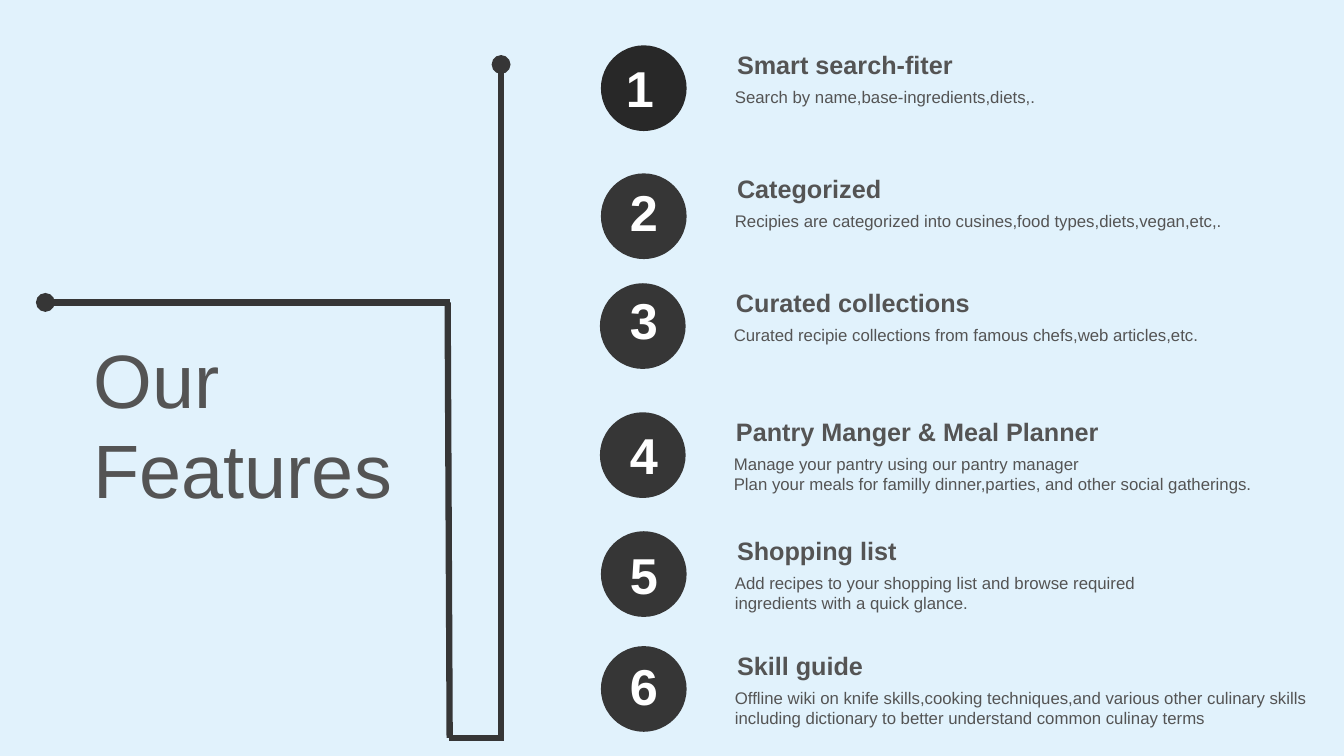
"""Build the "Our Features" slide: a title framed by a line and six numbered features."""
from lxml import etree
from pptx import Presentation
from pptx.dml.color import RGBColor
from pptx.enum.shapes import MSO_CONNECTOR as CONNECTOR, MSO_SHAPE as SHAPE
from pptx.enum.text import MSO_ANCHOR as ANCHOR, PP_ALIGN as ALIGN
from pptx.oxml.ns import qn
from pptx.util import Inches, Pt

COLORS = {
    "background": "E1F2FC",
    "text": "545454",
    "dark": "363636",
    "first": "282828",
    "number": "FFFFFF",
}

FEATURES = [
    (0.45, 0.44, 0.52, 5.82, 7.19, 4.93, "Smart search-fiter",
     ["Search by name,base-ingredients,diets,."]),
    (1.72, 1.67, 1.75, 5.86, 7.19, 5.83, "Categorized",
     ["Recipies are categorized into cusines,food types,diets,vegan,etc,."]),
    (2.81, 2.8, 2.82, 5.86, 7.18, 4.93, "Curated collections",
     ["Curated recipie collections from famous chefs,web articles,etc."]),
    (4.09, 4.08, 4.16, 5.86, 7.18, 6.04, "Pantry Manger & Meal Planner",
     ["Manage your pantry using our pantry manager",
      "Plan your meals for familly dinner,parties, and other social gatherings."]),
    (5.27, 5.26, 5.35, 5.86, 7.19, 4.93, "Shopping list",
     ["Add recipes to your shopping list and browse required ingredients with a quick glance."]),
    (6.41, 6.4, 6.45, 5.86, 7.19, 5.9, "Skill guide",
     ["Offline wiki on knife skills,cooking techniques,and various other culinary skills "
      "including dictionary to better understand common culinay terms"]),
]

FRAME_LINES = [
    ((0.45, 3), (4.46, 3), "headEnd"),
    ((4.46, 7.32), (4.44, 3), None),
    ((4.97, 7.35), (4.97, 0.64), "tailEnd"),
    ((4.45, 7.32), (5, 7.32), None),
]


class FeatureSlide:
    """Hold the style and the slide being drawn."""

    font_name = "Arial"

    def __init__(self, deck):
        """Add a blank slide with the background colour."""
        self.page = deck.slides.add_slide(deck.slide_layouts[6])
        fill = self.page.background.fill
        fill.solid()
        fill.fore_color.rgb = self.color("background")

    def color(self, name):
        """Return a named colour."""
        return RGBColor.from_string(COLORS[name])

    def text(self, place, lines, size, color="text", bold=False,
             align=ALIGN.LEFT, anchor=ANCHOR.TOP, inset=0.1):
        """Add a wrapped text box with one paragraph per line."""
        box = self.page.shapes.add_textbox(*map(Inches, place))
        frame = box.text_frame
        frame.word_wrap = True
        frame.vertical_anchor = anchor
        frame.margin_left = frame.margin_right = Inches(inset)
        frame.text = "\n".join(lines)
        for para in frame.paragraphs:
            para.alignment = align
            font = para.font
            font.name, font.size, font.bold = self.font_name, Pt(size), bold
            font.color.rgb = self.color(color)

    def line(self, start, end, oval_end=None):
        """Add a thick line, with a dot at one end if asked."""
        connector = self.page.shapes.add_connector(
            CONNECTOR.STRAIGHT, *map(Inches, start + end))
        connector.line.width = Pt(4.5)
        connector.line.color.rgb = self.color("dark")
        properties = connector._element.spPr
        if oval_end:
            outline = properties.find(qn("a:ln"))
            etree.SubElement(outline, qn(f"a:{oval_end}"), type="oval")
        etree.SubElement(properties, qn("a:effectLst"))

    def circle(self, left, top, color):
        """Add a filled disc without an outline."""
        disc = self.page.shapes.add_shape(
            SHAPE.OVAL, *map(Inches, (left, top, 0.85, 0.85)))
        disc.shadow.inherit = False
        disc.fill.solid()
        disc.fill.fore_color.rgb = self.color(color)
        disc.line.fill.background()

    def feature(self, number, circle_top, heading_top, number_top,
                number_left, left, width, heading, details):
        """Add a numbered disc with its heading and details."""
        self.text((left, heading_top + 0.37, width, 0.3), details, 12)
        self.text((left, heading_top, 4.93, 0.4), [heading], 18,
                  bold=True, inset=0.12)
        self.circle(left - 1.23, circle_top, "first" if number == 1 else "dark")
        self.text((number_left, number_top, 1.05, 0.71), [str(number)], 36,
                  color="number", bold=True, align=ALIGN.CENTER, inset=0.12)


def main():
    """Draw the slide and save it."""
    deck = Presentation()
    deck.slide_width, deck.slide_height = Inches(13.33), Inches(7.5)
    slide = FeatureSlide(deck)
    slide.text((0.83, 3.24, 3.52, 1.92), ["Our", "Features"], 54,
               anchor=ANCHOR.MIDDLE)
    for start, end, oval_end in FRAME_LINES:
        slide.line(start, end, oval_end)
    for number, feature in enumerate(FEATURES, 1):
        slide.feature(number, *feature)
    deck.save("out.pptx")


if __name__ == "__main__":
    main()
